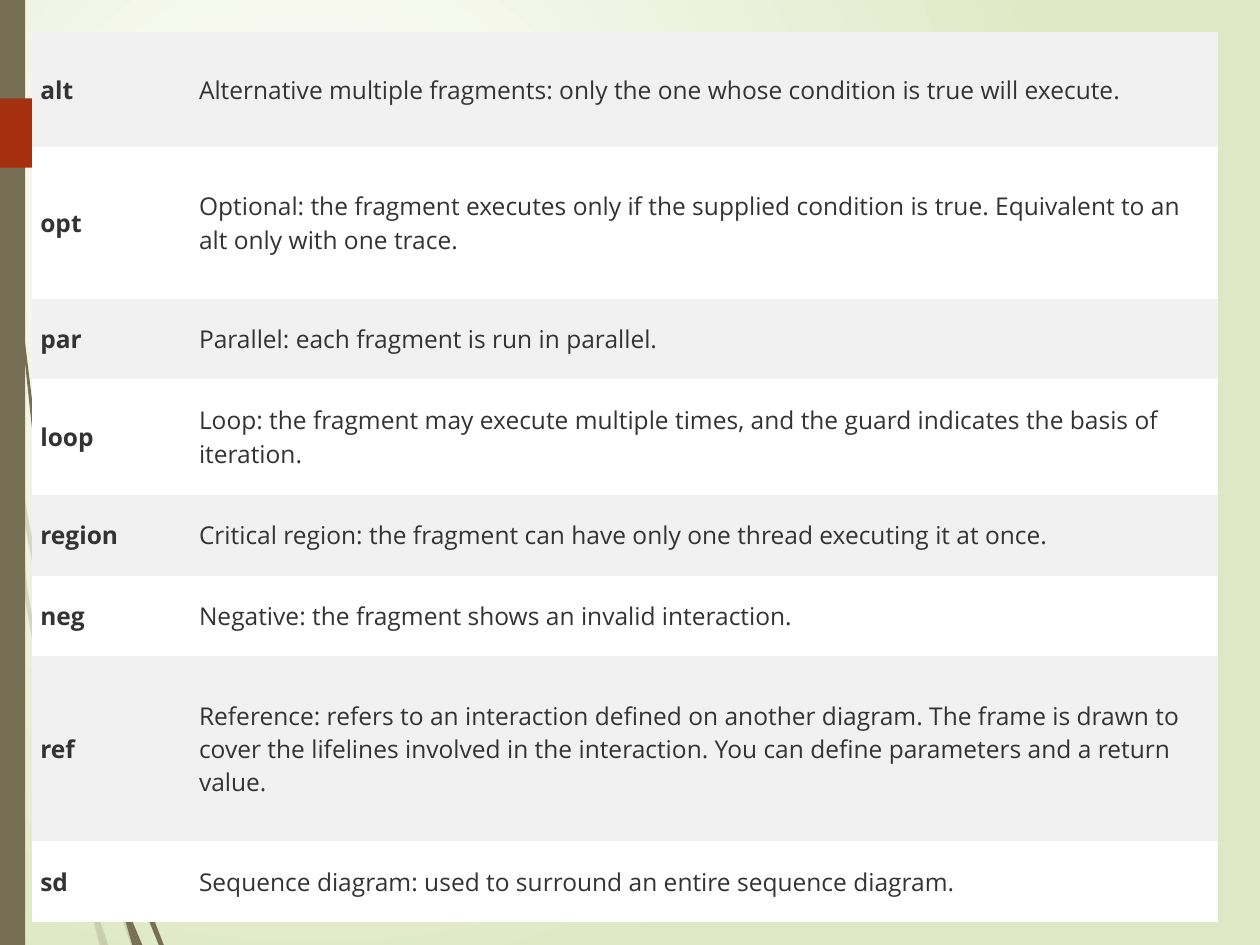
from dataclasses import dataclass

from lxml.etree import SubElement
from pptx import Presentation
from pptx.dml.color import RGBColor
from pptx.enum.shapes import MSO_SHAPE as Shape
from pptx.enum.text import MSO_ANCHOR as Anchor
from pptx.oxml.ns import qn
from pptx.util import Inches, Pt

WIDTH, HEIGHT = 10, 7.5
FONT = "Open Sans"
COLORS = {
    "olive": "766F54",
    "rust": "A53010",
    "glow": "FFFFFF",
    "edge": "DFE8C4",
    "text": "333333",
    "odd": "F1F1F1",
    "even": "FFFFFF",
}
NO_STYLE = "{2D5ABB26-0587-4C30-8999-92F81FD0307C}"
TABLE_LEFT = TABLE_TOP = 0.25
COLUMNS = (1.26, 8.16)


@dataclass(frozen=True)
class Fragment:
    keyword: str
    meaning: str
    height: float = 0.64


@dataclass(frozen=True)
class Wisps:
    alpha: int
    outlines: tuple


FRAGMENTS = (
    Fragment("alt", "Alternative multiple fragments: only the one whose condition is true will execute.", 0.92),
    Fragment("opt", "Optional: the fragment executes only if the supplied condition is true. "
             "Equivalent to an alt only with one trace.", 1.2),
    Fragment("par", "Parallel: each fragment is run in parallel."),
    Fragment("loop", "Loop: the fragment may execute multiple times, and the guard indicates "
             "the basis of iteration.", 0.92),
    Fragment("region", "Critical region: the fragment can have only one thread executing it at once."),
    Fragment("neg", "Negative: the fragment shows an invalid interaction."),
    Fragment("ref", "Reference: refers to an interaction defined on another diagram. The frame is drawn "
             "to cover the lifelines involved in the interaction. You can define parameters "
             "and a return value.", 1.47),
    Fragment("sd", "Sequence diagram: used to surround an entire sequence diagram."),
)

WISPS = (
    Wisps(20, (
        ((0.4, 5.22), (0.59, 5.99), (0.59, 5.86), (0.43, 5.2), (0.1, 3.45), (0.12, 3.76)),
        ((0.64, 6.07), (0.61, 5.96), (0.61, 6.1), (0.85, 6.94), (1.04, 7.5), (1.08, 7.5), (0.88, 6.92)),
        ((0.83, 7.5), (0.86, 7.5), (0.73, 7.11)),
        ((0.64, 6.83), (0.48, 6.19), (0.22, 4.69), (0.12, 3.76), (0.08, 3.5), (0.19, 4.7),
         (0.45, 6.21), (0.64, 6.93), (0.7, 7.14), (0.69, 7.07)),
        ((0.7, 7.14), (0.79, 7.5), (0.82, 7.5)),
        ((0.67, 6.92), (0.65, 6.83), (0.69, 7.07), (0.7, 7.14), (0.82, 7.5), (0.83, 7.5), (0.73, 7.11)),
    )),
    Wisps(100, (
        ((0.05, 1.1), (0.14, 2.33), (0.27, 3.55), (0.46, 4.77), (0.47, 4.81), (0.45, 4.53),
         (0.3, 3.55), (0.15, 2.32), (0.06, 1.09), (0.04, 0.48), (0.03, 0), (0.02, 0), (0.03, 0.48)),
        ((0.94, 6.49), (0.91, 6.41), (0.91, 6.56), (1.09, 7.08), (1.26, 7.5), (1.3, 7.5), (1.13, 7.06)),
        ((1.1, 7.5), (1.13, 7.5), (1, 7.19)),
        ((0.97, 7.22), (1.05, 7.5), (1.08, 7.5)),
        ((0.96, 7.06), (0.91, 6.91), (0.96, 7.17), (0.97, 7.22), (1.08, 7.5), (1.1, 7.5), (1, 7.19)),
    )),
)
TAG = ((0, 0.78), (1.21, 0.78), (1.24, 0.79), (1.49, 1.04), (1.49, 1.07), (1.24, 1.32), (1.21, 1.33), (0, 1.33))


def rgb(name: str) -> RGBColor:
    return RGBColor.from_string(COLORS[name])


def paint(sp, color: str, alpha: int = 100) -> None:
    sp.shadow.inherit = False
    sp.line.fill.background()
    sp.fill.solid()
    sp.fill.fore_color.rgb = rgb(color)
    if alpha < 100:
        clr = sp._element.spPr.find(qn("a:solidFill"))[0]
        SubElement(clr, qn("a:alpha"), val=str(alpha * 1000))


def add_outline(shapes, points: tuple, color: str, alpha: int = 100) -> None:
    corners = [(Inches(x), Inches(y)) for x, y in points]
    builder = shapes.build_freeform(*corners[0])
    builder.add_line_segments(corners[1:], close=True)
    paint(builder.convert_to_shape(), color, alpha)


def set_background(s) -> None:
    fill = s.background.fill
    fill.gradient()
    for stop, name in zip(fill.gradient_stops, ("glow", "edge")):
        stop.color.rgb = rgb(name)
    grad = s._element.find(".//" + qn("a:gradFill"))
    grad.remove(grad.find(qn("a:lin")))
    ring = SubElement(grad, qn("a:path"), path="circle")
    SubElement(ring, qn("a:fillToRect"), l="50000", t="50000", r="100000", b="100000")


def write_cell(cell, text: str, *, fill: str, bold: bool = False) -> None:
    cell.fill.solid()
    cell.fill.fore_color.rgb = rgb(fill)
    cell.vertical_anchor = Anchor.MIDDLE
    cell.margin_left = cell.margin_right = Inches(0.07)
    cell.margin_top = cell.margin_bottom = Inches(0.03)
    r = cell.text_frame.paragraphs[0].add_run()
    r.text = text
    r.font.name, r.font.size, r.font.bold = FONT, Pt(14), bold
    r.font.color.rgb = rgb("text")


def add_fragment_table(s) -> None:
    height = sum(f.height for f in FRAGMENTS)
    frame = s.shapes.add_table(
        len(FRAGMENTS), len(COLUMNS), Inches(TABLE_LEFT), Inches(TABLE_TOP),
        Inches(sum(COLUMNS)), Inches(height))
    table = frame.table
    table.first_row = table.horz_banding = False
    table._tbl.tblPr.find(qn("a:tableStyleId")).text = NO_STYLE
    for column, width in zip(table.columns, COLUMNS):
        column.width = Inches(width)
    for i, (row, fragment) in enumerate(zip(table.rows, FRAGMENTS)):
        row.height = Inches(fragment.height)
        fill = "even" if i % 2 else "odd"
        write_cell(row.cells[0], fragment.keyword, fill=fill, bold=True)
        write_cell(row.cells[1], fragment.meaning, fill=fill)


def main() -> None:
    prs = Presentation()
    prs.slide_width, prs.slide_height = Inches(WIDTH), Inches(HEIGHT)
    s = prs.slides.add_slide(prs.slide_layouts[6])
    set_background(s)
    for wisps in WISPS:
        group = s.shapes.add_group_shape()
        for outline in wisps.outlines:
            add_outline(group.shapes, outline, "olive", wisps.alpha)
    bar = s.shapes.add_shape(Shape.RECTANGLE, 0, 0, Inches(WIDTH * 0.02), prs.slide_height)
    paint(bar, "olive")
    add_outline(s.shapes, TAG, "rust")
    add_fragment_table(s)
    prs.save("out.pptx")


if __name__ == "__main__":
    main()
